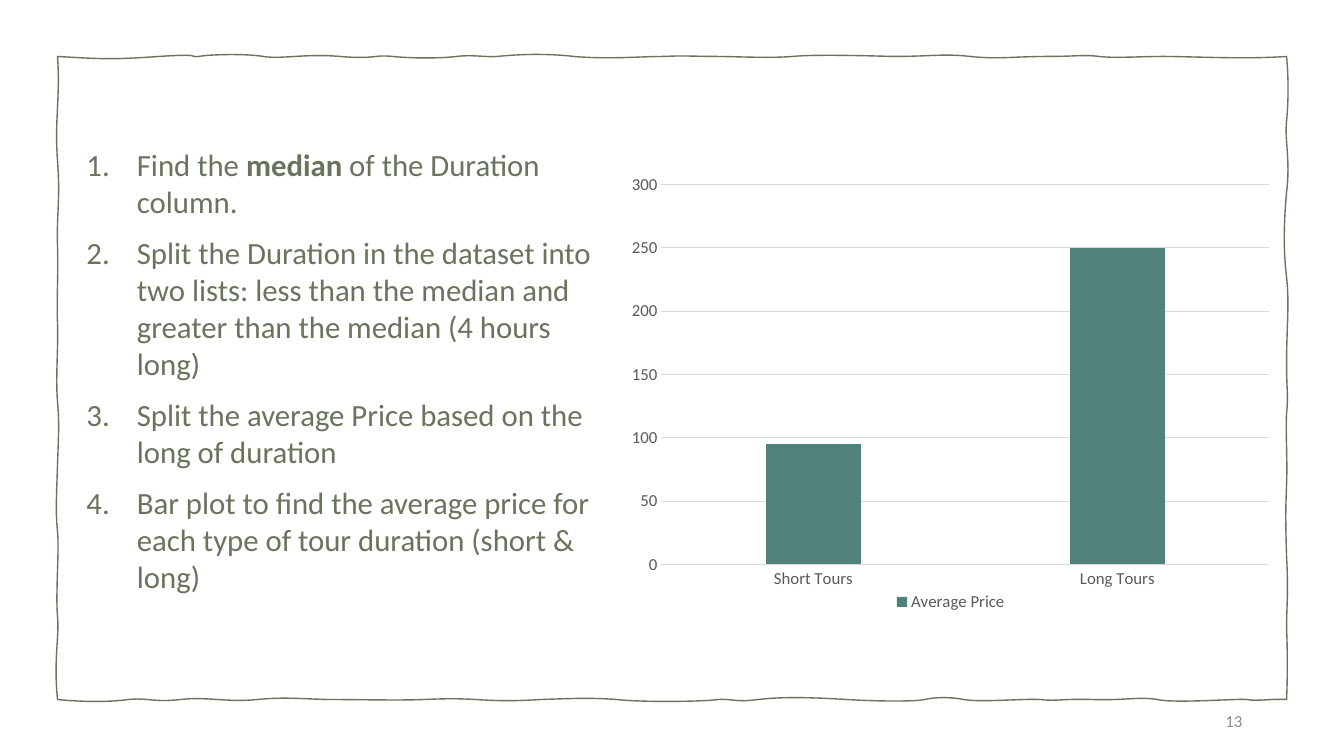
from dataclasses import dataclass

from lxml import etree
from pptx import Presentation
from pptx.chart.data import CategoryChartData
from pptx.dml.color import RGBColor
from pptx.enum.chart import XL_CHART_TYPE, XL_LEGEND_POSITION, XL_TICK_MARK
from pptx.enum.text import MSO_ANCHOR, PP_ALIGN
from pptx.oxml.ns import qn
from pptx.util import Pt

COLUMNS = XL_CHART_TYPE.COLUMN_CLUSTERED
LEGEND_BOTTOM = XL_LEGEND_POSITION.BOTTOM
NO_TICKS = XL_TICK_MARK.NONE
MIDDLE = MSO_ANCHOR.MIDDLE
RIGHT = PP_ALIGN.RIGHT

PX = 9144  # EMU per px, 100 px to the inch


@dataclass(frozen=True)
class Theme:
    font: str = "Calibri"
    black: RGBColor = RGBColor(0x00, 0x00, 0x00)
    olive: RGBColor = RGBColor(0x69, 0x74, 0x5D)
    teal: RGBColor = RGBColor(0x51, 0x81, 0x7B)
    axis_text: RGBColor = RGBColor(0x59, 0x59, 0x59)
    grid: RGBColor = RGBColor(0xD9, 0xD9, 0xD9)
    page_number: RGBColor = RGBColor(0x8C, 0x8C, 0x8C)
    step_size: int = 22
    small_size: int = 12
    chart_size: int = 10


THEME = Theme()

STEPS = [
    "Find the **median** of the Duration column.",
    "Split the Duration in the dataset into two lists: less than the median "
    "and greater than the median (4 hours long)",
    "Split the average Price based on the long of duration",
    "Bar plot to find the average price for each type of tour duration "
    "(short & long)",
]
AVERAGE_PRICES = {"Short Tours": 95, "Long Tours": 250}

# Waves of the frame: handle 1 (along, bend), handle 2 (along, bend), end along
TOP_WAVES = [
    (49, 3, 56, 3, 101), (146, -3, 129, 1, 140), (151, -2, 186, -3, 204),
    (222, 3, 245, -3, 280), (316, 3, 313, -2, 332), (352, 2, 380, 2, 396),
    (412, -2, 425, 1, 436), (447, -1, 477, -4, 512), (547, 3, 579, 0, 601),
    (622, -1, 633, 0, 652), (672, 0, 706, 2, 729), (751, -2, 791, -1, 829),
    (867, 0, 879, -3, 905), (932, 3, 950, 0, 982), (1013, 0, 1016, -2, 1033),
    (1050, 2, 1071, 0, 1097), (1123, 0, 1178, 3, 1219),
]
RIGHT_WAVES = [
    (20, 2, 45, 2, 64), (84, -2, 102, 4, 135), (168, -3, 193, -3, 219),
    (245, 3, 271, 0, 303), (334, 0, 334, 2, 354), (375, -1, 398, 1, 425),
    (452, -1, 461, -1, 496), (531, 2, 547, 0, 567), (587, 1, 619, 1, 638),
]
BOTTOM_WAVES = [
    (1203, -1, 1190, 2, 1180), (1169, -1, 1109, 4, 1091), (1073, -3, 1059, 1, 1027),
    (996, -1, 991, 2, 975), (959, -1, 915, 3, 899), (884, -3, 868, -2, 860),
    (851, 2, 816, 2, 783), (751, -2, 719, -3, 695), (671, 3, 669, -1, 655),
    (642, 2, 582, 3, 555), (527, -2, 510, -1, 479), (447, 2, 432, 1, 415),
    (397, -1, 387, -1, 363), (338, 1, 300, 0, 274), (249, 0, 227, -3, 198),
    (169, 3, 148, -3, 122), (95, 3, 90, -2, 70), (50, 3, 19, 2, 0),
]
LEFT_WAVES = [
    (597, -4, 577, 2, 555), (532, -2, 489, 2, 471), (452, -2, 437, -1, 406),
    (375, 1, 365, 2, 342), (319, -2, 287, 1, 264), (242, -1, 218, 1, 187),
    (156, -1, 143, 3, 103), (63, -3, 39, 3, 0),
]


def emu(box):
    return [length * PX for length in box]


def style(font, size, color):
    font.name = THEME.font
    font.size = Pt(size)
    font.color.rgb = color


def add_steps(slide, box):
    """Numbered list of the analysis steps."""
    frame = slide.shapes.add_textbox(*emu(box)).text_frame
    frame.word_wrap = True
    for index, step in enumerate(STEPS):
        paragraph = frame.paragraphs[0] if index == 0 else frame.add_paragraph()
        properties = paragraph._p.get_or_add_pPr()
        properties.set("marL", str(50 * PX))
        properties.set("indent", str(-50 * PX))
        etree.SubElement(properties, qn("a:buFont"), typeface="+mj-lt")
        etree.SubElement(properties, qn("a:buAutoNum"), type="arabicPeriod")
        if index:
            paragraph.space_before = Pt(10)
        for part, words in enumerate(step.split("**")):
            run = paragraph.add_run()
            run.text = words
            style(run.font, THEME.step_size, THEME.olive)
            run.font.bold = part % 2 == 1


def add_page_number(slide, box, number):
    """Right-aligned page number."""
    frame = slide.shapes.add_textbox(*emu(box)).text_frame
    frame.word_wrap = True
    frame.vertical_anchor = MIDDLE
    paragraph = frame.paragraphs[0]
    paragraph.text = str(number)
    paragraph.alignment = RIGHT
    style(paragraph.runs[0].font, THEME.small_size, THEME.page_number)


def set_plot_layout(chart, chart_size, plot_box):
    """Fix the inner plot area, given in px within the chart."""
    plot_area = chart._chartSpace.chart.plotArea
    for old_layout in plot_area.findall(qn("c:layout")):
        plot_area.remove(old_layout)
    layout = etree.Element(qn("c:layout"))
    manual = etree.SubElement(layout, qn("c:manualLayout"))
    settings = {"layoutTarget": "inner", "xMode": "edge", "yMode": "edge"}
    for tag, length, whole in zip("xywh", plot_box, chart_size * 2):
        settings[tag] = length / whole
    for tag, value in settings.items():
        etree.SubElement(manual, qn(f"c:{tag}"), val=str(value))
    plot_area.insert(0, layout)


def add_price_chart(slide, box):
    """Columns of the average price by tour length."""
    data = CategoryChartData()
    data.categories = list(AVERAGE_PRICES)
    data.add_series("Average Price", list(AVERAGE_PRICES.values()))
    chart = slide.shapes.add_chart(COLUMNS, *emu(box), data).chart
    chart.has_title = False
    style(chart.font, THEME.chart_size, THEME.black)
    set_plot_layout(chart, box[2:], (47, 43, 603, 377))

    # Columns
    plot = chart.plots[0]
    plot.vary_by_categories = False
    plot.gap_width = 219
    plot.overlap = -27
    prices = plot.series[0]
    prices.format.fill.solid()
    prices.format.fill.fore_color.rgb = THEME.teal

    # Axes and grid
    price_axis, tour_axis = chart.value_axis, chart.category_axis
    for axis in (price_axis, tour_axis):
        axis.major_tick_mark = NO_TICKS
        axis.minor_tick_mark = NO_TICKS
        style(axis.tick_labels.font, THEME.small_size, THEME.axis_text)
    price_axis.format.line.fill.background()
    for line in (tour_axis.format.line, price_axis.major_gridlines.format.line):
        line.color.rgb = THEME.grid
        line.width = Pt(0.75)

    # Legend
    chart.has_legend = True
    chart.legend.position = LEGEND_BOTTOM
    chart.legend.include_in_layout = False
    style(chart.legend.font, THEME.small_size, THEME.axis_text)


def add_frame(slide, box):
    """Hand-drawn frame, clockwise from the top left corner."""
    left, top, width, height = box
    edges = [
        (TOP_WAVES, lambda along, bend: (along, bend)),
        (RIGHT_WAVES, lambda along, bend: (width + bend, along)),
        (BOTTOM_WAVES, lambda along, bend: (along, height + bend)),
        (LEFT_WAVES, lambda along, bend: (bend, along)),
    ]
    curves = [
        (place(along_1, bend_1), place(along_2, bend_2), place(end, 0))
        for waves, place in edges
        for along_1, bend_1, along_2, bend_2, end in waves
    ]
    builder = slide.shapes.build_freeform(left * PX, top * PX)
    ends = [emu((left + x, top + y)) for _, _, (x, y) in curves]
    builder.add_line_segments(ends, close=True)
    outline = builder.convert_to_shape()
    outline.shadow.inherit = False
    outline.fill.background()
    outline.line.color.rgb = THEME.olive
    outline.line.width = Pt(1)

    # Bend each straight segment into its wave
    segments = list(outline._element.iter(qn("a:lnTo")))
    for segment, curve in zip(segments, curves):
        wave = etree.Element(qn("a:cubicBezTo"))
        for x, y in curve:
            etree.SubElement(wave, qn("a:pt"), x=str(x * PX), y=str(y * PX))
        segment.getparent().replace(segment, wave)


def main():
    deck = Presentation()
    deck.slide_width, deck.slide_height = emu((1333, 750))
    slide = deck.slides.add_slide(deck.slide_layouts[6])
    add_steps(slide, (76, 140, 543, 471))
    add_page_number(slide, (942, 695, 300, 40), 13)
    add_price_chart(slide, (609, 140, 668, 471))
    add_frame(slide, (57, 56, 1219, 638))
    deck.save("out.pptx")


if __name__ == "__main__":
    main()
